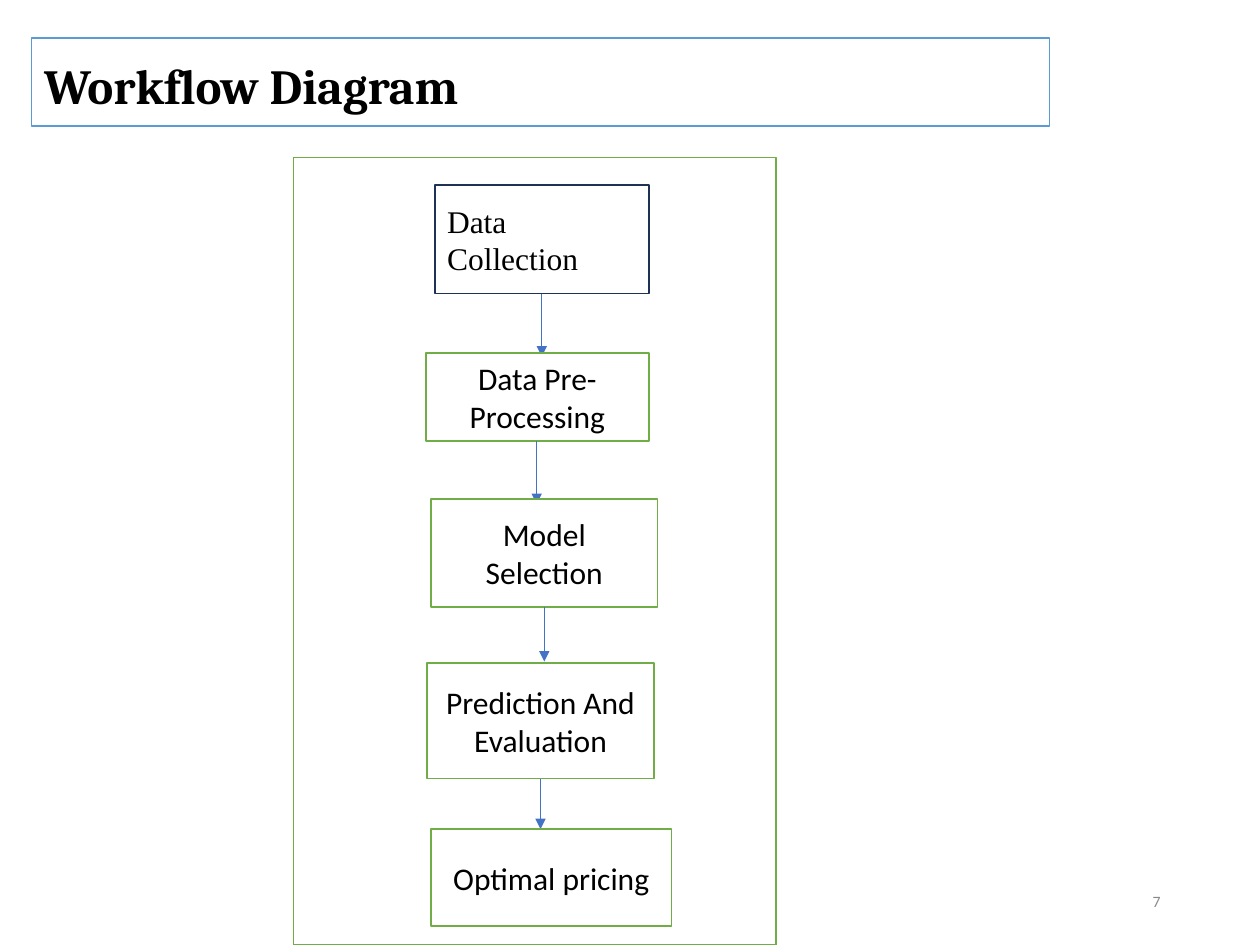
from lxml import etree
from pptx import Presentation
from pptx.dml.color import RGBColor
from pptx.enum.shapes import MSO_CONNECTOR, MSO_SHAPE
from pptx.enum.text import MSO_ANCHOR, MSO_AUTO_SIZE, PP_ALIGN
from pptx.oxml.ns import qn
from pptx.util import Pt

PX = 9144  # 100 px to the inch
RECT = MSO_SHAPE.RECTANGLE
STRAIGHT = MSO_CONNECTOR.STRAIGHT
MIDDLE = MSO_ANCHOR.MIDDLE
NO_FIT = MSO_AUTO_SIZE.NONE
LEFT, RIGHT = PP_ALIGN.LEFT, PP_ALIGN.RIGHT
CENTER, JUSTIFY = PP_ALIGN.CENTER, PP_ALIGN.JUSTIFY

COLORS = {
    "text": "000000", "page": "898989", "white": "FFFFFF", "navy": "1E3256",
    "green": "70AD47", "blue": "5B9BD5", "arrow": "4472C4",
}
HEX = {name: RGBColor.from_string(code) for name, code in COLORS.items()}


def write(shape, text, font="Calibri", size=18, color="text", bold=False,
          align=CENTER):
    frame = shape.text_frame
    frame.word_wrap = True
    frame.auto_size = NO_FIT
    frame.vertical_anchor = MIDDLE
    para = frame.paragraphs[0]
    para.alignment = align
    run = para.add_run()
    run.text = text
    run.font.name = font
    run.font.size = Pt(size)
    run.font.bold = bold
    run.font.color.rgb = HEX[color]
    return para


def outline(shape, color, width=1):
    shape.line.color.rgb = HEX[color]
    shape.line.width = Pt(width)


prs = Presentation()
prs.slide_width, prs.slide_height = 1000 * PX, 750 * PX
slide = prs.slides.add_slide(prs.slide_layouts[5])
shapes = slide.shapes

# Title
title = shapes.title
title.left, title.top = 25 * PX, 30 * PX
title.width, title.height = 808 * PX, 70 * PX
outline(title, "blue")
head = write(title, "Workflow Diagram", font="Cambria", size=28, bold=True,
             align=LEFT)
head.line_spacing = 1.1
head.space_before = Pt(12)

# Page number
page = shapes.add_textbox(706 * PX, 695 * PX, 225 * PX, 40 * PX)
write(page, "7", size=9, color="page", align=RIGHT)

# Steps: text, left, top, width, height, length of the arrow below
steps = [
    ("Data Collection", 345, 147, 170, 86, 50),
    ("Data Pre-Processing", 338, 280, 177, 70, 50),
    ("Model Selection", 342, 396, 180, 86, 43),
    ("Prediction And Evaluation", 339, 526, 180, 92, 40),
    ("Optimal pricing", 342, 658, 191, 77, 0),
]
for i, (text, x, y, w, h, drop) in enumerate(steps):
    box = shapes.add_shape(RECT, x * PX, y * PX, w * PX, h * PX)
    box.shadow.inherit = False
    box.fill.solid()
    box.fill.fore_color.rgb = HEX["white"]
    if i == 0:
        outline(box, "navy")
        write(box, text, font="Times New Roman", align=JUSTIFY)
    else:
        outline(box, "green")
        write(box, text)
    if drop:
        mid, end = x + w // 2, y + h
        arrow = shapes.add_connector(STRAIGHT, mid * PX, end * PX,
                                     mid * PX, (end + drop) * PX)
        outline(arrow, "arrow", 0.5)
        etree.SubElement(arrow.line._ln, qn("a:tailEnd"), type="triangle")
        etree.SubElement(arrow._element.spPr, qn("a:effectLst"))

# Frame around the steps
frame = shapes.add_shape(RECT, 233 * PX, 125 * PX, 383 * PX, 625 * PX)
frame.shadow.inherit = False
frame.fill.background()
outline(frame, "green")

prs.save("out.pptx")
